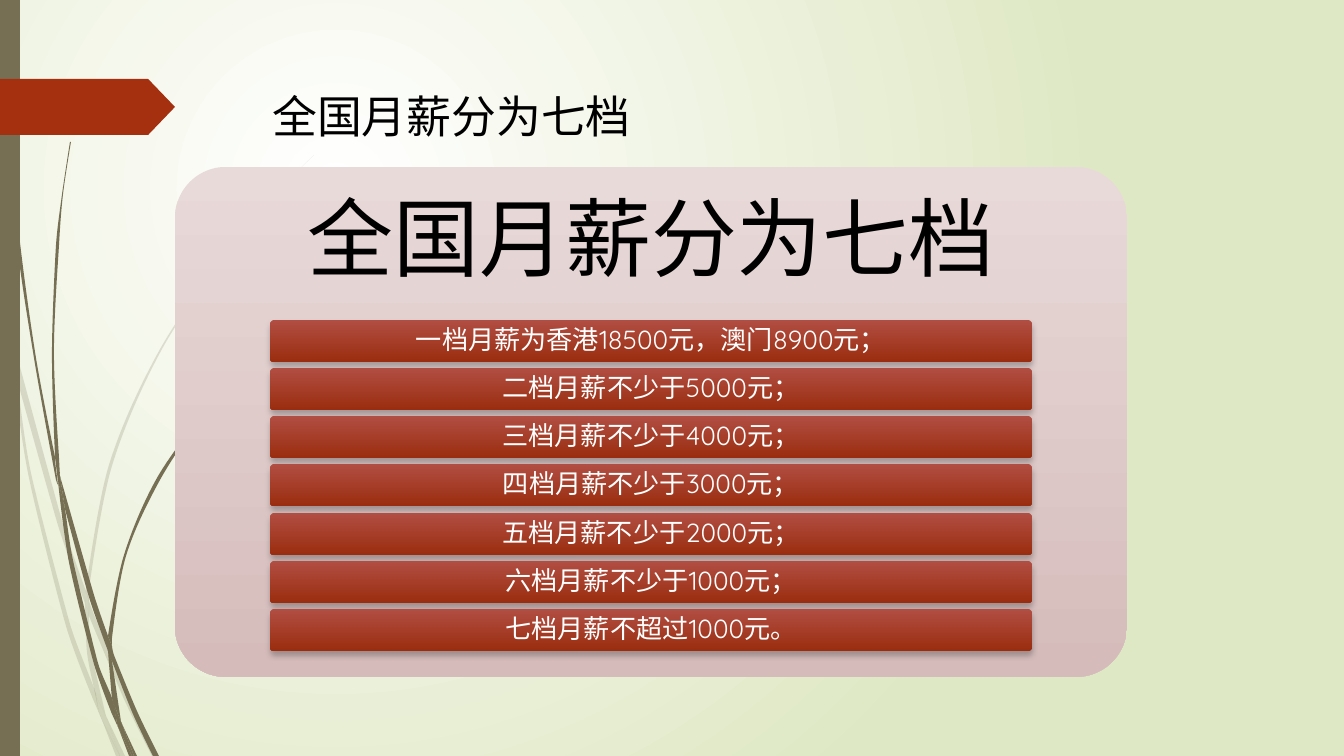
from dataclasses import dataclass

from lxml.etree import SubElement
from pptx import Presentation
from pptx.dml.color import RGBColor
from pptx.enum.shapes import MSO_SHAPE
from pptx.enum.text import MSO_ANCHOR, PP_ALIGN
from pptx.oxml.ns import qn
from pptx.util import Emu, Pt

EMU_PER_PX = 9144000 / 1344


@dataclass(frozen=True)
class Theme:
    olive: str = "766F54"
    red: str = "A53010"
    black: str = "000000"
    white: str = "FFFFFF"
    backdrop: tuple = ("FFFFFF", "DFE8C4")
    panel: tuple = ("E8DAD9", "D5BCBB")
    bar: tuple = ("B14E43", "9A2D0F")
    title_font: str = "Times New Roman"
    body_font: str = "Quicksand"
    title_size: int = 24
    heading_size: int = 46
    bar_size: int = 14


THEME = Theme()
TITLE = "全国月薪分为七档"
GRADES = [
    "一档月薪为香港18500元，澳门8900元；",
    "二档月薪不少于5000元；",
    "三档月薪不少于4000元；",
    "四档月薪不少于3000元；",
    "五档月薪不少于2000元；",
    "六档月薪不少于1000元；",
    "七档月薪不超过1000元。",
]

# Each blade of grass is a pair of edges: one way along it, then back.
PALE_GRASS = [
    ([(11, 353), (8, 324), (0, 284)], [(0, 301), (11, 347)]),
    ([(15, 348), (63, 524), (86, 591)], [(85, 603), (58, 525), (17, 379)]),
    ([(89, 601), (93, 612), (128, 698), (156, 756)], [(152, 756), (124, 699), (89, 616)]),
    ([(106, 716), (125, 756)], [(120, 756)]),
    ([(11, 353), (17, 379), (31, 473), (70, 624), (94, 688), (99, 712), (102, 720)],
     [(93, 699), (66, 626), (28, 473), (11, 353)]),
    ([(85, 603), (87, 652), (94, 688), (97, 698), (106, 716)],
     [(105, 712), (91, 650), (89, 616), (89, 613)]),
    ([(89, 601), (89, 589), (112, 466), (161, 351), (230, 247), (270, 199), (314, 155)],
     [(314, 155), (270, 199), (230, 246), (159, 351), (109, 465), (86, 589), (86, 591)]),
    ([(102, 720), (116, 756)], [(120, 756)]),
    ([(86, 591), (89, 601), (89, 616)], [(89, 613), (85, 603)]),
    ([(94, 688), (99, 712), (102, 720), (120, 756)], [(106, 716), (97, 698)]),
]
DARK_GRASS = [
    ([(3, 0), (4, 48), (7, 110), (16, 235), (34, 358), (56, 480), (58, 485)],
     [(55, 461), (55, 457), (36, 358), (19, 234), (8, 110), (4, 48), (4, 0)]),
    ([(60, 476), (94, 595), (108, 636)], [(108, 651), (89, 597), (65, 509)]),
    ([(112, 646), (114, 655), (137, 711), (159, 756)], [(153, 756), (133, 714), (112, 661)]),
    ([(122, 724), (137, 756)], [(134, 756)]),
    ([(58, 481), (65, 509), (73, 560), (98, 663), (112, 698), (117, 723), (118, 727)],
     [(112, 714), (94, 664), (69, 562), (58, 481)]),
    ([(71, 142), (63, 195), (59, 246), (54, 352), (59, 457), (60, 476)],
     [(60, 476), (55, 453), (52, 352), (56, 246), (62, 195), (70, 142)]),
    ([(55, 453), (60, 476), (65, 509)], [(58, 481), (55, 457)]),
    ([(112, 646), (112, 638), (126, 556), (160, 480), (206, 410), (233, 378), (263, 347)],
     [(262, 347), (233, 376), (206, 409), (157, 478), (124, 555), (108, 636)]),
    ([(118, 727), (129, 756)], [(132, 756)]),
    ([(108, 651), (112, 698), (117, 712), (122, 724)], [(121, 722), (112, 661), (109, 656)]),
    ([(108, 651), (109, 656), (112, 661)], [(112, 646), (108, 636)]),
    ([(112, 698), (117, 723), (118, 727), (132, 756)], [(134, 756), (122, 724), (117, 712)]),
]


def px(length):
    return Emu(round(length * EMU_PER_PX))


def tangents(points):
    """Give each point a third of the slope between its neighbours."""
    padded = [points[0], *points, points[-1]]
    result = []
    for before, here, after in zip(padded, padded[1:], padded[2:]):
        reach = min(abs(here[1] - before[1]), abs(after[1] - here[1])) / 3
        rise = abs(after[1] - before[1]) or 1
        result.append(tuple((after[i] - before[i]) * reach / rise for i in (0, 1)))
    return result


def bezier_points(edges):
    """List start, then two handles and an end for every curve of the outline."""
    anchors = [point for edge in edges for point in edge]
    slopes = [slope for edge in edges for slope in tangents(edge)]
    outline = [anchors[0]]
    for a, b, leave, arrive in zip(anchors, anchors[1:], slopes, slopes[1:]):
        outline += [(a[0] + leave[0], a[1] + leave[1]), (b[0] - arrive[0], b[1] - arrive[1]), b]
    return outline


def curve_lines(shape):
    """Turn every three line segments of the outline into one cubic curve."""
    lines = list(shape._element.iter(qn("a:lnTo")))
    for first in range(0, len(lines), 3):
        curve = lines[first].makeelement(qn("a:cubicBezTo"))
        lines[first].addprevious(curve)
        for line in lines[first:first + 3]:
            curve.append(line[0])
            line.getparent().remove(line)


def paint(shape, color, opacity=100):
    shape.shadow.inherit = False
    shape.line.fill.background()
    shape.fill.solid()
    shape.fill.fore_color.rgb = RGBColor.from_string(color)
    if opacity < 100:
        tint = shape.fill._xPr.find(f".//{qn('a:srgbClr')}")
        SubElement(tint, qn("a:alpha"), val=str(opacity * 1000))


def set_gradient(fill, colors):
    """Blend two colours from top to bottom."""
    fill.gradient()
    fill.gradient_angle = 270
    for stop, color, position in zip(fill.gradient_stops, colors, (0, 1)):
        stop.color.rgb = RGBColor.from_string(color)
        stop.position = position


def set_background(page):
    """Blend outwards from a point a quarter of the way in and down."""
    fill = page.background.fill
    set_gradient(fill, THEME.backdrop)
    gradient = fill._xPr.find(qn("a:gradFill"))
    gradient.remove(gradient.find(qn("a:lin")))
    radial = SubElement(gradient, qn("a:path"), path="circle")
    SubElement(radial, qn("a:fillToRect"), l="50000", t="50000", r="100000", b="100000")


def add_blade(page, edges, opacity):
    outline = [(px(x), px(y)) for x, y in bezier_points(edges)]
    builder = page.shapes.build_freeform(*outline[0], scale=1.0)
    builder.add_line_segments(outline[1:], close=True)
    blade = builder.convert_to_shape()
    curve_lines(blade)
    paint(blade, THEME.olive, opacity)


def add_block(page, kind, bounds, color):
    block = page.shapes.add_shape(kind, *map(px, bounds))
    paint(block, color)
    return block


def add_rounded(page, bounds, colors):
    box = add_block(page, MSO_SHAPE.ROUNDED_RECTANGLE, bounds, colors[0])
    box.adjustments[0] = 0.1
    set_gradient(box.fill, colors)
    return box


def add_shadow(shape):
    effects = shape._element.spPr.find(qn("a:effectLst"))
    shadow = SubElement(effects, qn("a:outerShdw"), blurRad=str(Pt(3)), dist=str(Pt(2)),
                        dir="5400000", algn="ctr", rotWithShape="0")
    color = SubElement(shadow, qn("a:srgbClr"), val=THEME.black)
    SubElement(color, qn("a:alpha"), val="25000")


def write(box, text, font, size, color, frame_format=None, para_format=None):
    frame = box.text_frame
    frame.word_wrap = True
    para = frame.paragraphs[0]
    span = para.add_run()
    span.text = text
    span.font.color.rgb = RGBColor.from_string(color)
    formats = ((frame, frame_format), (para, para_format),
               (span.font, {"name": font, "size": Pt(size)}))
    for target, values in formats:
        for name, value in (values or {}).items():
            setattr(target, name, value)


def centred(inset_x, inset_y):
    """Give the frame and paragraph formats of a centred label."""
    frame = {"vertical_anchor": MSO_ANCHOR.MIDDLE,
             "margin_left": px(inset_x), "margin_right": px(inset_x),
             "margin_top": px(inset_y), "margin_bottom": px(inset_y)}
    return frame, {"alignment": PP_ALIGN.CENTER, "line_spacing": 0.9}


def main():
    deck = Presentation()
    deck.slide_width, deck.slide_height = px(1344), px(756)
    page = deck.slides.add_slide(deck.slide_layouts[6])
    set_background(page)
    for blades, opacity in ((PALE_GRASS, 20), (DARK_GRASS, 100)):
        for edges in blades:
            add_blade(page, edges, opacity)
    add_block(page, MSO_SHAPE.RECTANGLE, (0, 0, 20, 756), THEME.olive)
    arrow = add_block(page, MSO_SHAPE.PENTAGON, (0, 79, 175, 56), THEME.red)
    arrow.adjustments[0] = 0.48

    add_rounded(page, (175, 167, 952, 510), THEME.panel)
    heading = page.shapes.add_textbox(*map(px, (175, 166, 952, 153)))
    write(heading, TITLE, THEME.body_font, THEME.heading_size, THEME.black, *centred(26, 26))
    for row, grade in enumerate(GRADES):
        top = 320 + round(row * 289 / (len(GRADES) - 1))
        bar = add_rounded(page, (270, top, 762, 42), THEME.bar)
        add_shadow(bar)
        write(bar, grade, THEME.body_font, THEME.bar_size, THEME.white, *centred(5, 4))

    title = page.shapes.add_textbox(*map(px, (259, 82, 847, 67)))
    write(title, TITLE, THEME.title_font, THEME.title_size, THEME.black)
    deck.save("out.pptx")


if __name__ == "__main__":
    main()
